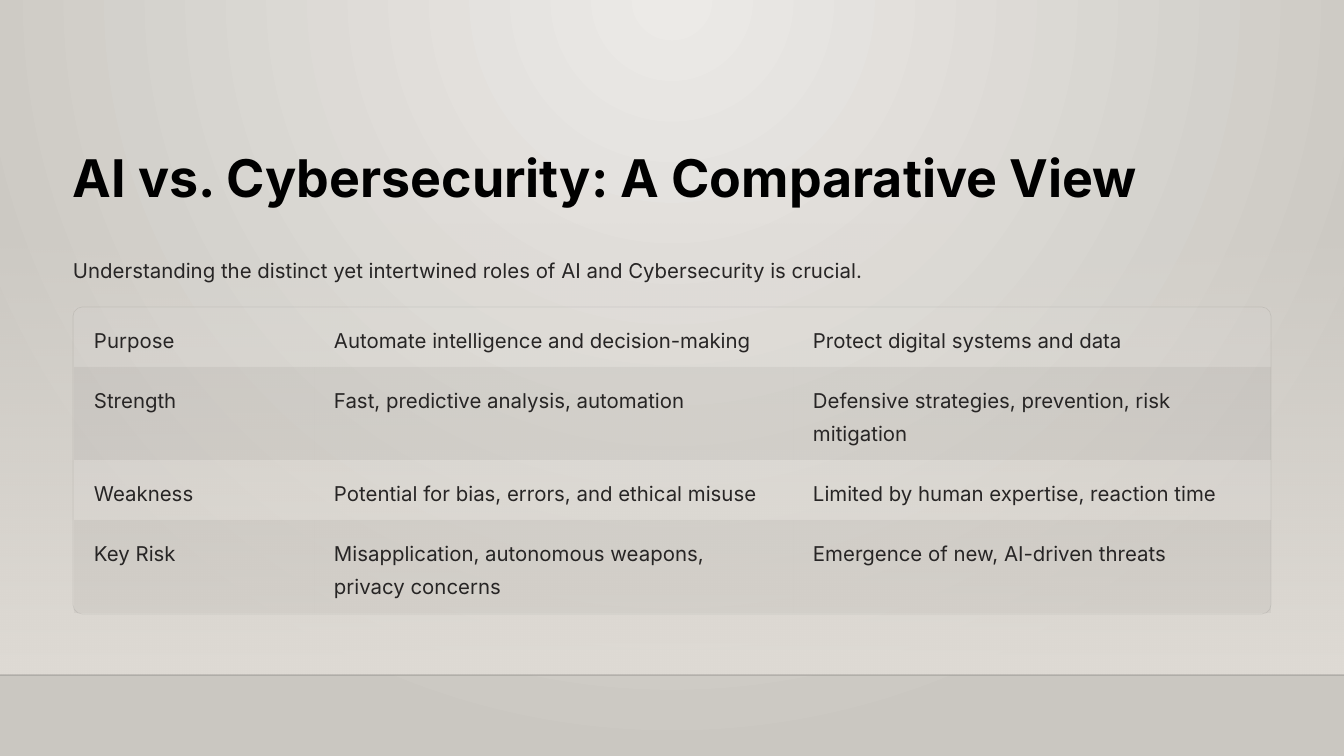
from dataclasses import dataclass

from lxml.etree import SubElement
from pptx import Presentation
from pptx.dml.color import RGBColor
from pptx.enum.shapes import MSO_CONNECTOR as Connector, MSO_SHAPE as Shape
from pptx.enum.text import MSO_ANCHOR as Anchor, PP_ALIGN as Align
from pptx.oxml.ns import qn
from pptx.slide import Slide
from pptx.util import Emu, Pt

PX_PER_INCH = 84
FONT = "Inter"
INK = "272525"
BLACK = "000000"
SAND = "DFDBD5"
NO_GRID_STYLE = "{2D5ABB26-0587-4C30-8999-92F81FD0307C}"
COLUMN_WIDTHS = (240, 479, 478)
TABLE_LEFT, TABLE_TOP = 74, 307
CELL_SIDE, CELL_TOP = 20, 13


@dataclass(frozen=True)
class TextStyle:
    size: float
    line_height: float
    color: str
    bold: bool = False


@dataclass(frozen=True)
class Row:
    texts: tuple[str, str, str]
    height: int
    shade: str


TITLE = TextStyle(44.5, 55.5, BLACK, True)
BODY = TextStyle(17.5, 28.5, INK)
ROWS = (
    Row(("Purpose", "Automate intelligence and decision-making",
         "Protect digital systems and data"), 60, "FFFFFF"),
    Row(("Strength", "Fast, predictive analysis, automation",
         "Defensive strategies, prevention, risk mitigation"), 93, BLACK),
    Row(("Weakness", "Potential for bias, errors, and ethical misuse",
         "Limited by human expertise, reaction time"), 60, "FFFFFF"),
    Row(("Key Risk", "Misapplication, autonomous weapons, privacy concerns",
         "Emergence of new, AI-driven threats"), 93, BLACK),
)


def px(length: int) -> Emu:
    return Emu(round(length * 914400 / PX_PER_INCH))


def color(value: str) -> RGBColor:
    return RGBColor.from_string(value)


def set_alpha(parent, percent: int) -> None:
    tint = next(parent.iter(qn("a:srgbClr")))
    SubElement(tint, qn("a:alpha")).set("val", str(percent * 1000))


def set_gradient(fill, start: str, end: str) -> None:
    fill.gradient()
    for stop, value, position in zip(fill.gradient_stops, (start, end), (0, 1)):
        stop.color.rgb = color(value)
        stop.position = position


def write(frame, text: str, style: TextStyle) -> None:
    paragraph = frame.paragraphs[0]
    paragraph.alignment = Align.LEFT
    paragraph.line_spacing = Pt(style.line_height)
    run = paragraph.add_run()
    run.text = text
    run.font.name = FONT
    run.font.size = Pt(style.size)
    run.font.bold = style.bold
    run.font.color.rgb = color(style.color)


def write_box(shape, text: str, style: TextStyle) -> None:
    frame = shape.text_frame
    frame.margin_left = frame.margin_right = 0
    frame.margin_top = frame.margin_bottom = 0
    frame.vertical_anchor = Anchor.TOP
    frame.word_wrap = True
    write(frame, text, style)


def paint_background(slide: Slide) -> None:
    set_gradient(slide.background.fill, "ECEAE7", "CAC7C1")
    gradient = next(slide.element.iter(qn("a:gradFill")))
    gradient.remove(gradient.find(qn("a:lin")))
    circle = SubElement(gradient, qn("a:path"))
    circle.set("path", "circle")
    center = SubElement(circle, qn("a:fillToRect"))
    for side, value in zip("ltrb", (43, 0, 43, 100)):
        center.set(side, str(value * 1000))


def add_floor(slide: Slide) -> None:
    panel = slide.shapes.add_shape(Shape.RECTANGLE, 0, px(223), px(1344), px(452))
    panel.shadow.inherit = False
    panel.line.fill.background()
    set_gradient(panel.fill, SAND, SAND)
    panel.fill.gradient_angle = 270
    set_alpha(panel.fill.gradient_stops and panel.element.spPr, 0)

    edge = slide.shapes.add_connector(
        Connector.STRAIGHT, 0, px(675), px(1344), px(675))
    edge.line.color.rgb = color(BLACK)
    edge.line.width = Pt(1)
    properties = edge.element.spPr
    set_alpha(properties, 20)
    SubElement(properties, qn("a:effectLst"))


def add_frame(slide: Slide) -> None:
    frame = slide.shapes.add_shape(
        Shape.ROUNDED_RECTANGLE, px(73), px(307), px(1198), px(307))
    frame.adjustments[0] = 0.03
    frame.shadow.inherit = False
    frame.fill.background()
    frame.line.color.rgb = color(BLACK)
    frame.line.width = Pt(0.6)
    set_alpha(frame.element.spPr, 8)


def add_comparison(slide: Slide) -> None:
    graphic = slide.shapes.add_table(
        len(ROWS), len(COLUMN_WIDTHS), px(TABLE_LEFT), px(TABLE_TOP),
        px(sum(COLUMN_WIDTHS)), px(sum(row.height for row in ROWS)))
    table = graphic.table
    table.first_row = table.horz_banding = False
    next(graphic.element.iter(qn("a:tableStyleId"))).text = NO_GRID_STYLE
    for column, width in zip(table.columns, COLUMN_WIDTHS):
        column.width = px(width)
    for table_row, row in zip(table.rows, ROWS):
        table_row.height = px(row.height)
        for cell, text in zip(table_row.cells, row.texts):
            cell.margin_left = cell.margin_right = px(CELL_SIDE)
            cell.margin_top, cell.margin_bottom = px(CELL_TOP), 0
            cell.vertical_anchor = Anchor.TOP
            cell.fill.solid()
            cell.fill.fore_color.rgb = color(row.shade)
            set_alpha(cell.fill and table_row.cells and cell._tc.tcPr, 4)
            write(cell.text_frame, text, BODY)


def main() -> None:
    presentation = Presentation()
    presentation.slide_width, presentation.slide_height = px(1344), px(756)
    slide = presentation.slides.add_slide(presentation.slide_layouts[5])
    paint_background(slide)
    add_floor(slide)

    title = slide.shapes.title
    title.left, title.top, title.width, title.height = map(px, (73, 143, 1198, 66))
    write_box(title, "AI vs. Cybersecurity: A Comparative View", TITLE)

    intro = slide.shapes.add_textbox(px(73), px(249), px(1198), px(34))
    write_box(intro, "Understanding the distinct yet intertwined roles of AI "
                     "and Cybersecurity is crucial.", BODY)
    add_frame(slide)
    add_comparison(slide)
    presentation.save("out.pptx")


if __name__ == "__main__":
    main()
